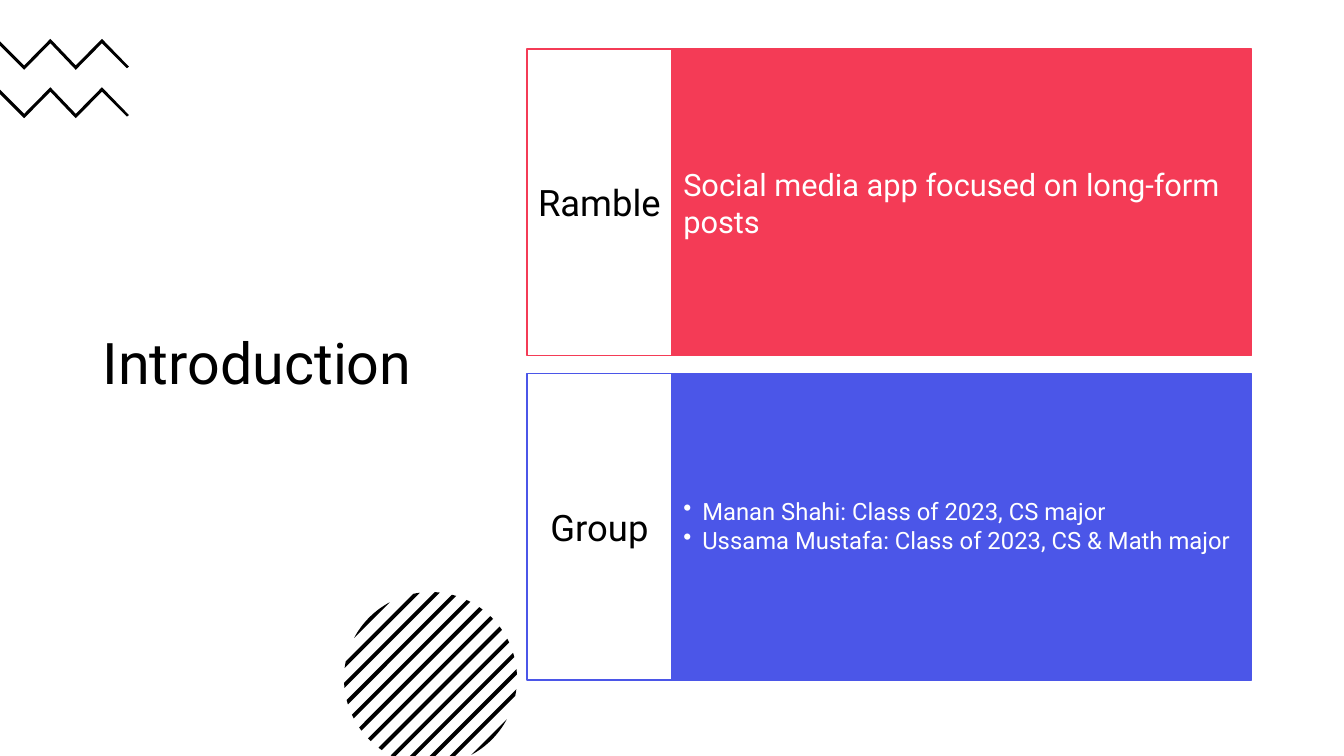
from math import acos, cos, sin, pi, sqrt
from lxml.etree import SubElement
from pptx import Presentation
from pptx.dml.color import RGBColor
from pptx.enum.shapes import MSO_SHAPE
from pptx.enum.text import MSO_ANCHOR, PP_ALIGN
from pptx.oxml.ns import qn
from pptx.util import Cm, Pt

BLACK = RGBColor(0x00, 0x00, 0x00)
WHITE = RGBColor(0xFF, 0xFF, 0xFF)
RED = RGBColor(0xF4, 0x3B, 0x56)
BLUE = RGBColor(0x4B, 0x56, 0xE8)
FONT = "Roboto"

TITLE = "Introduction"
CARDS = [
    ("Ramble", RED, ["Social media app focused on long-form posts"], 22, False),
    ("Group", BLUE, ["Manan Shahi: Class of 2023, CS major",
                     "Ussama Mustafa: Class of 2023, CS & Math major"], 17, True),
]

SLIDE_W, SLIDE_H = 33.87, 19.05
CARD_LEFT, CARD_TOP, CARD_H, CARD_STEP = 13.28, 1.24, 7.72, 8.18
LABEL_W, BODY_W = 3.66, 14.6

ZIGZAG_TOPS = [0.98, 2.2]
ZIGZAG = [(1.27, 0), (1.91, 0.67), (2.57, 0), (3.25, 0.7), (3.2, 0.74),
          (2.57, 0.11), (1.91, 0.78), (1.27, 0.11), (0.61, 0.78),
          (0, 0.17), (0, 0.06), (0.61, 0.67)]

DISC_X, DISC_Y, DISC_R = 10.85, 17.1, 2.18
STRIPE_STEP, STRIPE_HALF, CAP_START = 0.5, 0.07, 2.95
ARC_STEPS = 8


def write(tf, lines, size, color, align=PP_ALIGN.LEFT, after=0.0, bullets=False, spacing=1.0):
    tf.word_wrap = True
    tf.vertical_anchor = MSO_ANCHOR.MIDDLE
    for i, line in enumerate(lines):
        p = tf.paragraphs[0] if i == 0 else tf.add_paragraph()
        p.alignment = align
        p.line_spacing = spacing
        p.space_after = Pt(round(size * after, 1))
        if bullets:
            pPr = p._p.get_or_add_pPr()
            pPr.set("marL", str(Cm(0.48)))
            pPr.set("indent", str(-Cm(0.48)))
            SubElement(pPr, qn("a:buChar")).set("char", "•")
        r = p.add_run()
        r.text = line
        r.font.name = FONT
        r.font.size = Pt(size)
        r.font.color.rgb = color


def add_box(s, left, top, width, fill, line, inset_x, inset_y):
    sp = s.shapes.add_shape(MSO_SHAPE.RECTANGLE, Cm(left), Cm(top), Cm(width), Cm(CARD_H))
    sp.shadow.inherit = False
    sp.fill.solid()
    sp.fill.fore_color.rgb = fill
    sp.line.color.rgb = line
    sp.line.width = Pt(1)
    tf = sp.text_frame
    tf.margin_left = tf.margin_right = Cm(inset_x)
    tf.margin_top = tf.margin_bottom = Cm(inset_y)
    return tf


def add_outline(s, points):
    pts = [(Cm(x), Cm(y)) for x, y in points]
    builder = s.shapes.build_freeform(*pts[0])
    builder.add_line_segments(pts[1:], close=True)
    sp = builder.convert_to_shape()
    sp.shadow.inherit = False
    sp.fill.solid()
    sp.fill.fore_color.rgb = BLACK
    sp.line.fill.background()


def disc_point(angle, side):
    x = DISC_X + DISC_R * (cos(angle) + side * sin(angle)) / sqrt(2)
    y = DISC_Y + DISC_R * (cos(angle) - side * sin(angle)) / sqrt(2)
    spill = max(0, y - SLIDE_H)
    return x + spill, y - spill


def stripe(low, high):
    a, b = (acos(max(-1, min(1, d / (DISC_R * sqrt(2))))) for d in (low, high))
    angles = [a + (b - a) * i / ARC_STEPS for i in range(ARC_STEPS + 1)]
    return [disc_point(t, 1) for t in angles] + [disc_point(t, -1) for t in reversed(angles)]


def main():
    prs = Presentation()
    prs.slide_width, prs.slide_height = Cm(SLIDE_W), Cm(SLIDE_H)
    s = prs.slides.add_slide(prs.slide_layouts[6])

    edge = DISC_R * sqrt(2)
    bands = [(k * STRIPE_STEP - STRIPE_HALF, k * STRIPE_STEP + STRIPE_HALF) for k in range(-5, 6)]
    for low, high in [(-edge, -CAP_START), *bands, (CAP_START, edge)]:
        add_outline(s, stripe(low, high))

    title = s.shapes.add_textbox(Cm(2.34), Cm(3.33), Cm(8.89), Cm(11.76))
    write(title.text_frame, [TITLE], 41, BLACK, spacing=0.9)

    for top in ZIGZAG_TOPS:
        add_outline(s, [(x, top + y) for x, y in ZIGZAG])

    for i, (label, color, lines, size, bullets) in enumerate(CARDS):
        top = CARD_TOP + i * CARD_STEP
        tf = add_box(s, CARD_LEFT + LABEL_W, top, BODY_W, color, color, 0.28, 1.96)
        write(tf, lines, size, WHITE, after=0.15 if bullets else 0.35,
              bullets=bullets, spacing=0.9 if bullets else 1.0)
        tf = add_box(s, CARD_LEFT, top, LABEL_W, WHITE, color, 0.2, 0.76)
        write(tf, [label], 26, BLACK, PP_ALIGN.CENTER, 0.35)

    prs.save("out.pptx")


if __name__ == "__main__":
    main()
